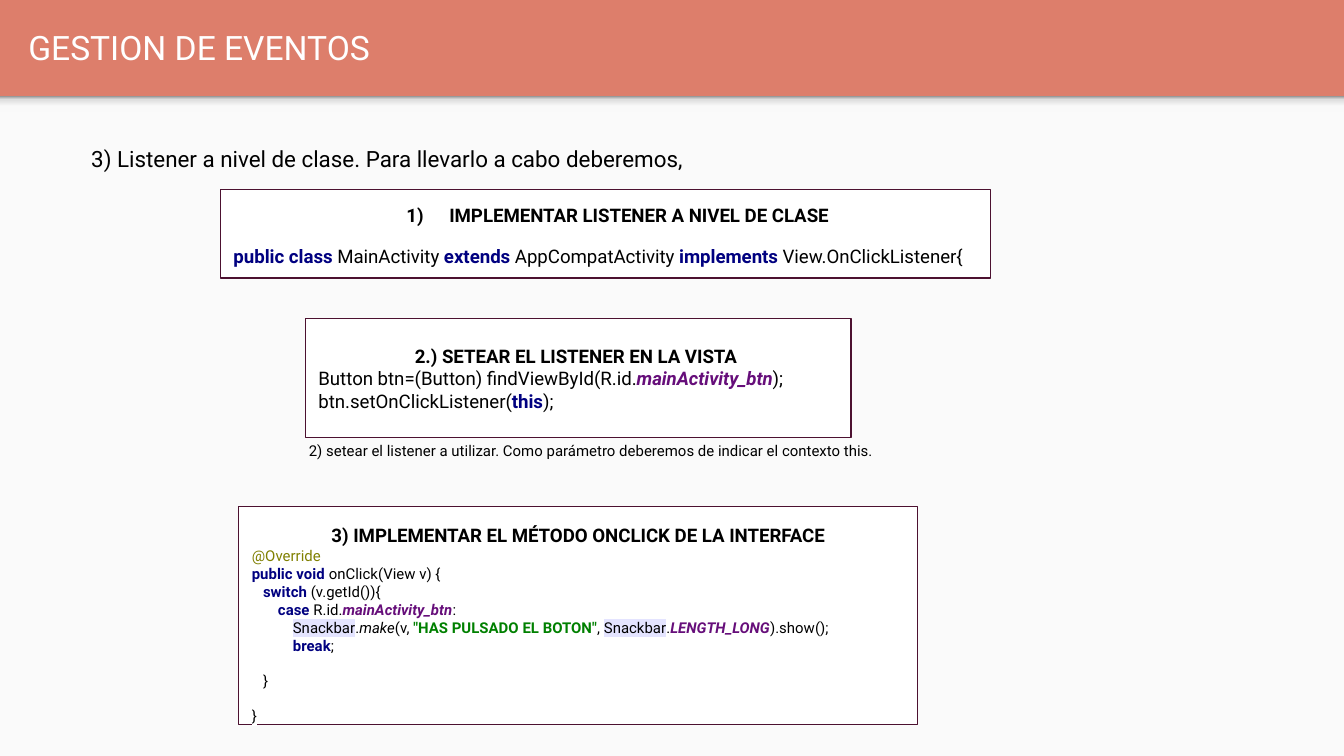
from copy import deepcopy

from lxml.etree import SubElement
from pptx import Presentation
from pptx.dml.color import RGBColor
from pptx.enum.shapes import MSO_SHAPE as Shape
from pptx.enum.text import MSO_ANCHOR as Anchor, MSO_AUTO_SIZE as AutoSize, PP_ALIGN as Align
from pptx.oxml.ns import qn
from pptx.util import Pt

FONT = "Roboto"
INSET = 7.2
CODE_LINE = 9.4
COLORS = {
    "header": "DD7E6B", "page": "FAFAFA", "white": "FFFFFF", "black": "000000",
    "border": "4C1130", "keyword": "000080", "field": "660E7A",
    "string": "008000", "annotation": "808000", "lavender": "E4E4FF",
}
SHADOW_STOPS = [(0, "F9F9F9"), (0.36, "F9F9F9"), (0.8, "DEDEDE"), (1, "999999")]
STYLES = {
    "plain": {},
    "heading": {"bold": True},
    "keyword": {"color": "keyword", "bold": True},
    "field": {"color": "field", "bold": True, "italic": True},
    "string": {"color": "string", "bold": True},
    "annotation": {"color": "annotation"},
    "method": {"italic": True},
    "class": {"highlight": "lavender"},
}


def rgb(name):
    return RGBColor.from_string(COLORS[name])


def add_run(paragraph, text, size=10, color="black", bold=False, italic=False, highlight=None):
    run = paragraph.add_run()
    run.text = text
    font = run.font
    font.size, font.bold, font.italic, font.name = Pt(size), bold, italic, FONT
    font.color.rgb = rgb(color)
    if highlight:
        marker = SubElement(run._r.rPr, qn("a:highlight"))
        SubElement(marker, qn("a:srgbClr"), val=COLORS[highlight])
        run._r.rPr.find(qn("a:solidFill")).addnext(marker)


def write(frame, content, align=Align.LEFT, spacing=1, before=0, after=0,
          margin=0, hanging=0, numbering=None, **font):
    first = frame.paragraphs[0]
    paragraph = frame.add_paragraph() if first.runs else first
    paragraph.alignment, paragraph.line_spacing = align, spacing
    paragraph.space_before, paragraph.space_after = Pt(before), Pt(after)
    properties = paragraph._p.get_or_add_pPr()
    properties.set("marL", str(Pt(margin)))
    properties.set("indent", str(Pt(-hanging)))
    if numbering:
        SubElement(properties, qn("a:buAutoNum"), type=numbering)
    pieces = [(content, "plain")] if isinstance(content, str) else content
    for text, style in pieces:
        add_run(paragraph, text, **{**font, **STYLES[style]})


def set_frame(frame, anchor=Anchor.TOP, top=INSET, bottom=INSET):
    frame.word_wrap, frame.auto_size = True, AutoSize.NONE
    frame.vertical_anchor = anchor
    frame.margin_left = frame.margin_right = Pt(INSET)
    frame.margin_top, frame.margin_bottom = Pt(top), Pt(bottom)
    return frame


def add_title(slide, text, bounds):
    title = slide.shapes.title
    title.left, title.top, title.width, title.height = map(Pt, bounds)
    write(set_frame(title.text_frame, Anchor.MIDDLE), text, size=18, color="white")


def add_note(slide, text, bounds, **options):
    note = slide.shapes.add_textbox(*map(Pt, bounds))
    write(set_frame(note.text_frame), text, align=Align.JUSTIFY, spacing=1.15, after=10, **options)


def add_panel(slide, bounds, fill, border=None):
    panel = slide.shapes.add_shape(Shape.RECTANGLE, *map(Pt, bounds))
    panel.shadow.inherit = False
    panel.fill.solid()
    panel.fill.fore_color.rgb = rgb(fill)
    if border:
        panel.line.color.rgb = rgb(border)
        panel.line.width = Pt(0.75)
    else:
        panel.line.fill.background()
    return panel


def add_header_shadow(slide, bounds):
    band = add_panel(slide, bounds, "page")
    band.fill.gradient()
    band.fill.gradient_angle = 90
    stop_list = next(band._element.iter(qn("a:gsLst")))
    for stop in list(stop_list):
        stop_list.append(deepcopy(stop))
    for stop, (position, color) in zip(band.fill.gradient_stops, SHADOW_STOPS):
        stop.position = position
        stop.color.rgb = RGBColor.from_string(color)


def add_code_box(slide, bounds, **frame_options):
    box = add_panel(slide, bounds, "white", "border")
    return set_frame(box.text_frame, **frame_options)


def add_class_step(slide):
    frame = add_code_box(slide, (118, 101.6, 412.6, 47.4), anchor=Anchor.MIDDLE)
    write(frame, [("IMPLEMENTAR LISTENER A NIVEL DE CLASE", "heading")], align=Align.CENTER,
          spacing=1.15, after=10, margin=36, hanging=23, numbering="arabicParenR")
    write(frame, [("public class ", "keyword"), ("MainActivity ", "plain"),
                  ("extends ", "keyword"), ("AppCompatActivity ", "plain"),
                  ("implements ", "keyword"), ("View.OnClickListener{", "plain")],
          highlight="white")


def add_view_step(slide):
    frame = add_code_box(slide, (163.5, 170.6, 292.4, 64), anchor=Anchor.MIDDLE)
    write(frame, [("2.) SETEAR EL LISTENER EN LA VISTA ", "heading")],
          align=Align.CENTER, highlight="white")
    write(frame, [("Button btn=(Button) findViewById(R.id.", "plain"),
                  ("mainActivity_btn", "field"), (");", "plain")], highlight="white")
    write(frame, [("btn.setOnClickListener(", "plain"), ("this", "keyword"), (");", "plain")],
          highlight="white")


def add_method_step(slide):
    frame = add_code_box(slide, (127.8, 271.5, 363.7, 116.8), top=CODE_LINE, bottom=0)
    write(frame, [("3) IMPLEMENTAR EL MÉTODO ONCLICK DE LA INTERFACE", "heading")],
          align=Align.CENTER, highlight="white")
    code = [
        (0, 0, [("@Override", "annotation")]),
        (0, 0, [("public void ", "keyword"), ("onClick(View v) {", "plain")]),
        (6, 0, [("switch ", "keyword"), ("(v.getId()){", "plain")]),
        (14, 0, [("case ", "keyword"), ("R.id.", "plain"),
                 ("mainActivity_btn", "field"), (":", "plain")]),
        (22, 0, [("Snackbar", "class"), (".", "plain"), ("make", "method"), ("(v, ", "plain"),
                 ('"HAS PULSADO EL BOTON"', "string"), (", ", "plain"), ("Snackbar", "class"),
                 (".", "plain"), ("LENGTH_LONG", "field"), (").show();", "plain")]),
        (22, 0, [("break", "keyword"), (";", "plain")]),
        (6, CODE_LINE, "}"),
        (0, CODE_LINE, "}"),
    ]
    for margin, before, line in code:
        write(frame, line, margin=margin, before=before, size=8, highlight="white")


def main():
    deck = Presentation()
    deck.slide_width, deck.slide_height = Pt(720), Pt(405)
    slide = deck.slides.add_slide(deck.slide_layouts[5])
    slide.background.fill.solid()
    slide.background.fill.fore_color.rgb = rgb("header")
    add_panel(slide, (0, 51.6, 720, 353.4), "page")
    add_header_shadow(slide, (0, 51.6, 720, 8.6))
    add_title(slide, "GESTION DE EVENTOS", (8, 1.5, 695, 47.5))
    add_note(slide, "3) Listener a nivel de clase. Para llevarlo a cabo deberemos,",
             (41.8, 68.4, 626.4, 27.4), size=12)
    add_class_step(slide)
    add_view_step(slide)
    add_method_step(slide)
    add_note(slide, "2) setear el listener a utilizar. Como parámetro deberemos de indicar "
             "el contexto this.", (122.4, 228.2, 374.4, 27.4), margin=36, size=8)
    deck.save("out.pptx")


if __name__ == "__main__":
    main()
